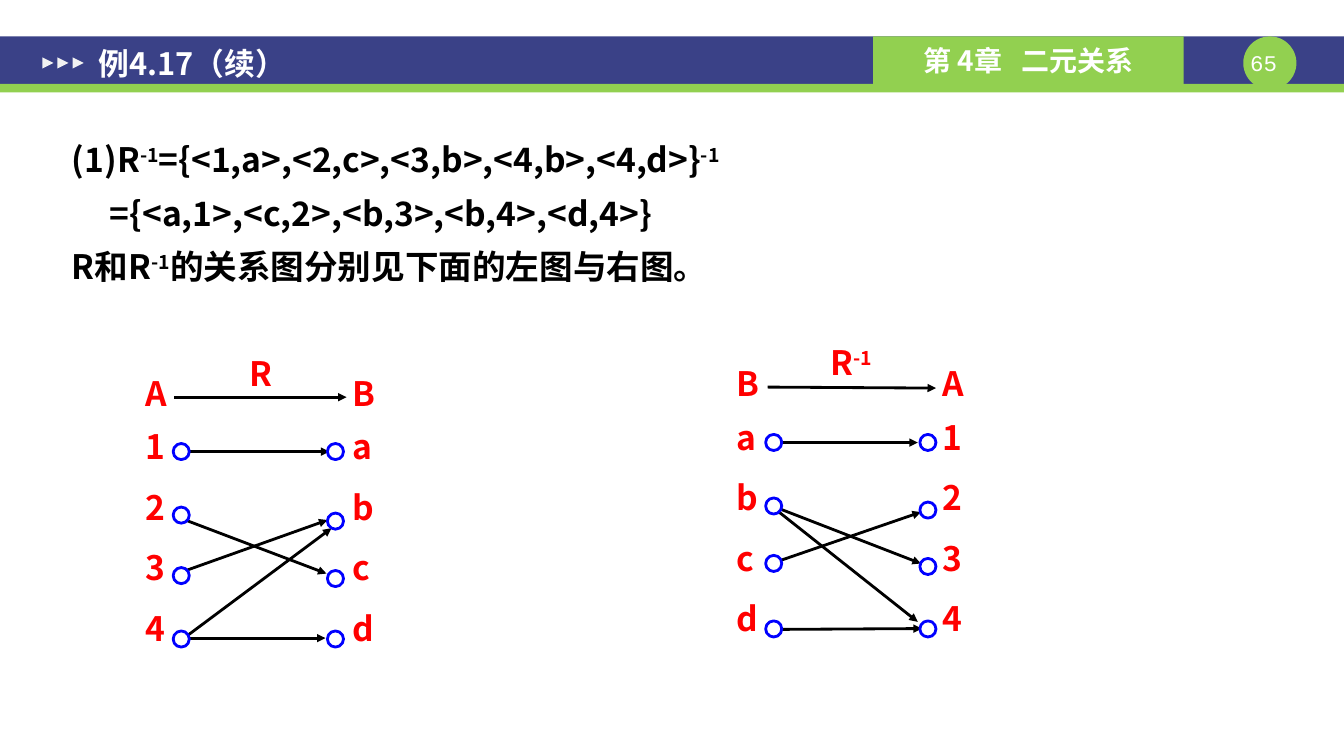
"""Build the slide on inverse relations with its two arrow diagrams."""
from lxml import etree
from pptx import Presentation
from pptx.dml.color import RGBColor
from pptx.enum.shapes import MSO_CONNECTOR, MSO_SHAPE
from pptx.enum.text import MSO_ANCHOR, PP_ALIGN
from pptx.oxml.ns import qn
from pptx.util import Pt

RECT, OVAL, TRI = MSO_SHAPE.RECTANGLE, MSO_SHAPE.OVAL, MSO_SHAPE.ISOSCELES_TRIANGLE
LINE = MSO_CONNECTOR.STRAIGHT
LEFT, MID = PP_ALIGN.LEFT, PP_ALIGN.CENTER
TOP, CORE = MSO_ANCHOR.TOP, MSO_ANCHOR.MIDDLE


class Theme:
    navy = RGBColor.from_string("3A4187")
    green = RGBColor.from_string("92D050")
    pale = RGBColor.from_string("F2F2F2")
    white = RGBColor.from_string("FFFFFF")
    black = RGBColor.from_string("000000")
    red = RGBColor.from_string("FF0000")
    blue = RGBColor.from_string("0000FF")
    sans, mono = "Noto Sans CJK SC", "Courier New"
    page, tab, head, text = 16, 20, 22, 24
    stroke = 2


deck = Presentation()
deck.slide_width, deck.slide_height = Pt(960.48), Pt(540)
slide = deck.slides.add_slide(deck.slide_layouts[5])
shapes = slide.shapes


def block(kind, x, y, w, h, fill, edge=None):
    """Add a filled shape with an optional outline."""
    shape = shapes.add_shape(kind, Pt(x), Pt(y), Pt(w), Pt(h))
    shape.shadow.inherit = False
    shape.fill.solid()
    shape.fill.fore_color.rgb = fill
    if edge is None:
        shape.line.fill.background()
    else:
        shape.line.color.rgb = edge
        shape.line.width = Pt(Theme.stroke)
    return shape


def write(shape, lines, size, color, align=LEFT, anchor=TOP, inset=(0, 0),
          face=Theme.sans, bold=True):
    """Fill a shape with lines made of (text, run attributes) pairs."""
    frame = shape.text_frame
    frame.word_wrap = True
    frame.vertical_anchor = anchor
    frame.margin_left = frame.margin_right = Pt(inset[0])
    frame.margin_top = frame.margin_bottom = Pt(inset[1])
    for i, line in enumerate(lines):
        para = frame.add_paragraph() if i else frame.paragraphs[0]
        para.alignment = align
        for text, attrs in line:
            run = para.add_run()
            run.text = text
            run.font.size, run.font.bold = Pt(size), bold
            run.font.color.rgb = color
            run.font.name = face
            props = run._r.get_or_add_rPr()
            etree.SubElement(props, qn("a:ea"), typeface=face)
            for key, value in attrs.items():
                props.set(key, value)
    return frame


block(RECT, 0, 26, 960.48, 34, Theme.navy)
block(RECT, 0, 60, 960.48, 6, Theme.green)
block(OVAL, 888.5, 26, 38, 38, Theme.green)
page = shapes.add_textbox(Pt(884), Pt(35), Pt(38), Pt(20))
write(page, [[("65", {})]], Theme.page, Theme.white, MID, face=Theme.mono, bold=False)
tab = block(RECT, 624, 26, 222, 34, Theme.green)
chapter = [("第 4章", {}), (" ", {"spc": "900"}), ("二元关系", {})]
write(tab, [chapter], Theme.tab, Theme.white, MID, CORE)
for i in range(3):
    mark = block(TRI, 30.2 + 10.8 * i, 41, 8, 8, Theme.pale)
    mark.rotation = 90

title = shapes.title
title.left, title.top, title.width, title.height = Pt(61), Pt(28), Pt(420), Pt(34)
write(title, [[("例4.17（续）", {})]], Theme.head, Theme.white, LEFT, CORE, (9.4, 5))
title.element.getparent().append(title.element)

sup = {"baseline": "30000"}
proof = [
    [("(1)R", {}), ("-1", sup), ("={<1,a>,<2,c>,<3,b>,<4,b>,<4,d>}", {}), ("-1", sup)],
    [("={<a,1>,<c,2>,<b,3>,<b,4>,<d,4>}", {})],
    [("R和R", {}), ("-1", sup), ("的关系图分别见下面的左图与右图。", {})],
]
body = shapes.add_textbox(Pt(42), Pt(85.5), Pt(876), Pt(166))
frame = write(body, proof, Theme.text, Theme.black, inset=(9.4, 5))
for i, para in enumerate(frame.paragraphs):
    para.line_spacing = 1.3
    para.space_before = Pt(1 if i else 0)
frame.paragraphs[1]._p.get_or_add_pPr().set("marL", str(Pt(27)))

graphs = [
    {
        "name": [("R", {})], "spot": (186.5, 252), "head": 266, "row": 304.5,
        "sides": [
            (103.7, "A1234", 123.8, (316.8, 362.2, 405.4, 450.7)),
            (252, "Babcd", 234, (316.8, 366.5, 407.5, 450.7)),
        ],
        "arrows": [
            (124.6, 283.7, 247.7, 283.7), (131, 322.6, 235.4, 322.6),
            (128.9, 370.1, 233.3, 409.7), (131, 408.2, 234, 371.5),
            (129.6, 457.2, 236.9, 377.3), (131, 455.8, 232.6, 455.8),
        ],
    },
    {
        "name": [("R", {}), ("-1", sup)], "spot": (608.4, 244.5), "head": 259.5, "row": 297.5,
        "sides": [
            (526.3, "Babcd", 547.2, (310.3, 355.7, 396.7, 443.5)),
            (673.9, "A1234", 657.4, (310.3, 358.6, 398.9, 443.5)),
        ],
        "arrows": [
            (548.6, 276.5, 668.9, 277.2), (556.6, 316.1, 655.9, 316.1),
            (555.8, 362.9, 658.1, 402.5), (555.8, 401, 658.1, 365.8),
            (552.2, 362.2, 655.9, 444.2), (556.6, 449.6, 658.8, 449),
        ],
    },
]
for graph in graphs:
    x, y = graph["spot"]
    name = shapes.add_textbox(Pt(x - 23), Pt(y), Pt(46), Pt(35))
    write(name, [graph["name"]], Theme.text, Theme.red, MID)
    for ends in graph["arrows"]:
        arrow = shapes.add_connector(LINE, *map(Pt, ends))
        arrow.line.color.rgb = Theme.black
        arrow.line.width = Pt(Theme.stroke)
        etree.SubElement(arrow.line._get_or_add_ln(), qn("a:tailEnd"), type="triangle")
        etree.SubElement(arrow.element.spPr, qn("a:effectLst"))
    for x, names, dot, rows in graph["sides"]:
        tops = [graph["head"]] + [graph["row"] + 43.2 * i for i in range(4)]
        for text, y in zip(names, tops):
            label = shapes.add_textbox(Pt(x), Pt(y), Pt(18), Pt(35))
            write(label, [[(text, {})]], Theme.text, Theme.red)
        for y in rows:
            block(OVAL, dot, y, 11.5, 11.5, Theme.white, Theme.blue)

deck.save("out.pptx")
